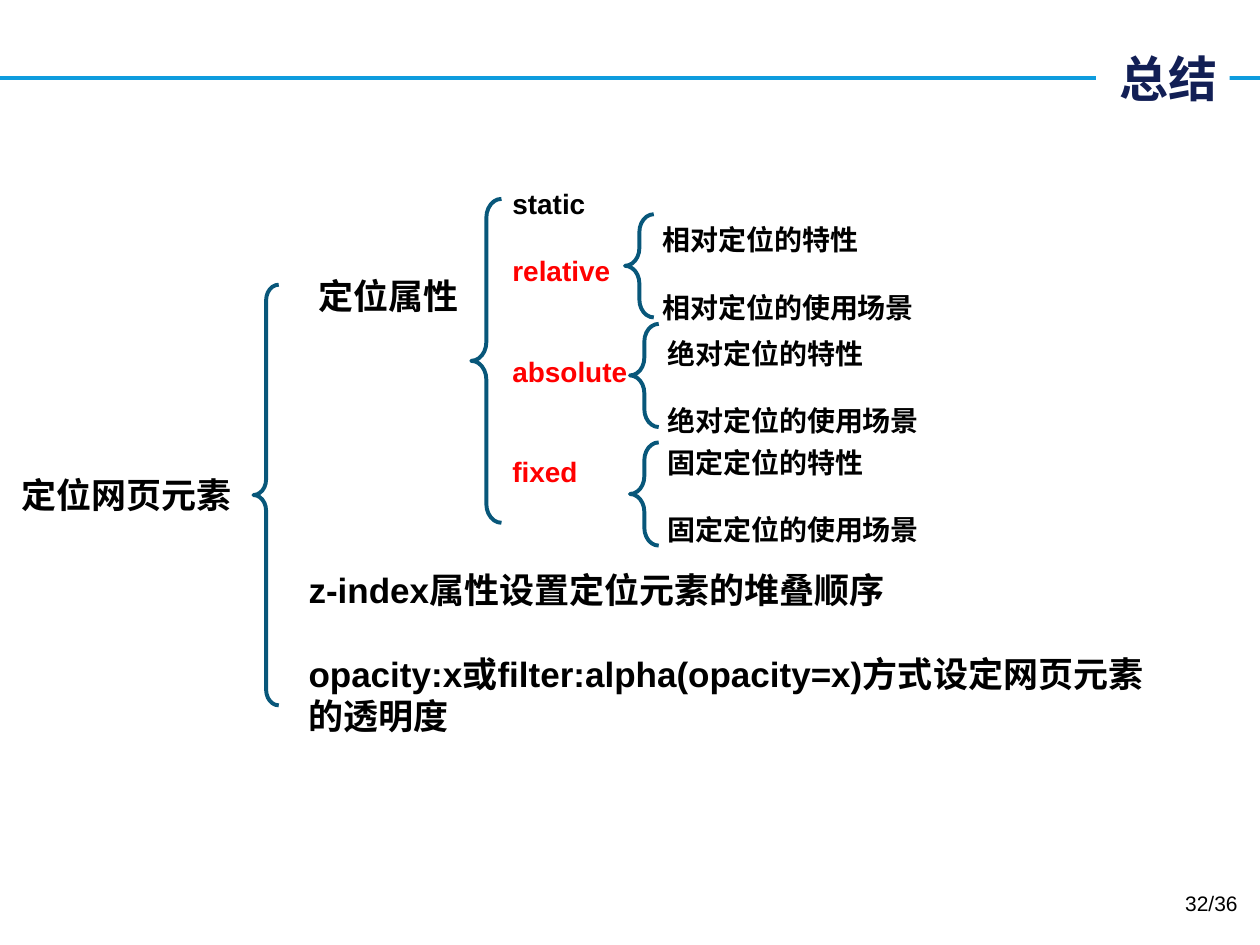
"""Build the summary slide on page element positioning."""
from lxml import etree
from pptx import Presentation
from pptx.dml.color import RGBColor as Rgb
from pptx.enum.shapes import MSO_CONNECTOR as Link, MSO_SHAPE as Shape
from pptx.enum.text import MSO_ANCHOR as Anchor, PP_ALIGN as Align
from pptx.oxml.ns import qn
from pptx.util import Cm, Pt

BLACK, RED, NAVY = "000000", "FF0000", "121F55"
SKY, TEAL, WHITE = "0E9CDE", "08577A", "FFFFFF"
CJK = "Noto Sans CJK SC"

TITLE = "总结"
ROOT = "定位网页元素"
TOPICS = [
    ("定位属性", 0),
    ("z-index属性设置定位元素的堆叠顺序", 6),
    ("opacity:x或filter:alpha(opacity=x)方式设定网页元素的透明度", 1),
]
MODES = [("static", 0, BLACK), ("relative", 1, RED),
         ("absolute", 2, RED), ("fixed", 2, RED)]
TRAITS = [
    ("相对定位", (12.6, 4.32), (13.11, 4.37)),
    ("绝对定位", (12.7, 6.53), (13.21, 6.65)),
    ("固定定位", (12.7, 8.92), (13.21, 8.86)),
]
ENDS = [("的特性", 0), ("的使用场景", 1)]
BRACES = [(9.5, 4.01, 0.61, 6.53), (5.11, 5.74, 0.51, 8.48)]
BRACES += [(*spot, 0.58, 2.08) for _, spot, _ in TRAITS]


def hue(code):
    """Turn a hex string into a colour."""
    return Rgb.from_string(code)


def write(rows, at, size=16, bold=True, align=Align.LEFT, font="Arial",
          fill=None, anchor=Anchor.TOP, fixed=True):
    """Add a text box of (text, skipped lines, colour) rows."""
    box = slide.shapes.add_textbox(*map(Cm, at))
    if fill:
        box.fill.solid()
        box.fill.fore_color.rgb = hue(fill)
    frame = box.text_frame
    frame.word_wrap = True
    frame.vertical_anchor = anchor
    for i, (text, skip, tint) in enumerate(rows):
        para = frame.paragraphs[0] if i == 0 else frame.add_paragraph()
        para.alignment = align
        if fixed:
            para.line_spacing = Pt(size * 1.2)
        if skip:
            para.space_before = Pt(size * 1.2 * skip)
        run = para.add_run()
        run.text = text
        face = run.font
        face.name, face.size, face.bold = font, Pt(size), bold
        face.color.rgb = hue(tint)
        asian = etree.SubElement(run._r.get_or_add_rPr(), qn("a:ea"))
        asian.set("typeface", CJK)
    return frame


def brace(at):
    """Add a left brace."""
    mark = slide.shapes.add_shape(Shape.LEFT_BRACE, *map(Cm, at))
    mark.shadow.inherit = False
    mark.fill.background()
    mark.line.color.rgb = hue(TEAL)
    mark.line.width = Pt(2.25)
    mark.adjustments[0] = 0.62


deck = Presentation()
deck.slide_width, deck.slide_height = Cm(25.4), Cm(19.05)
slide = deck.slides.add_slide(deck.slide_layouts[6])

rule = slide.shapes.add_connector(Link.STRAIGHT, 0, Cm(1.57), Cm(25.4), Cm(1.57))
rule.line.color.rgb = hue(SKY)
rule.line.width = Pt(2.25)
etree.SubElement(rule._element.spPr, qn("a:effectLst"))

write([(TITLE, 0, NAVY)], (22.1, 0.76, 2.69, 1.63), size=28, font=CJK,
      align=Align.RIGHT, fill=WHITE, anchor=Anchor.MIDDLE, fixed=False)
topics = write([(text, skip, BLACK) for text, skip in TOPICS],
               (5.97, 5.41, 17.73, 9.65), size=20)
topics.paragraphs[0]._p.get_or_add_pPr().set("marL", str(Cm(0.2)))
write(MODES, (10.08, 3.63, 3, 7.09))
write([(ROOT, 0, BLACK)], (0, 9.42, 5.11, 1.12), size=20, align=Align.CENTER)
for name, _, spot in TRAITS:
    write([(name + end, skip, BLACK) for end, skip in ENDS], (*spot, 5.99, 2.31))
for at in BRACES:
    brace(at)
write([("32/36", 0, BLACK)], (19.28, 17.83, 5.92, 1.02), size=12, bold=False,
      align=Align.RIGHT, fixed=False)

deck.save("out.pptx")
